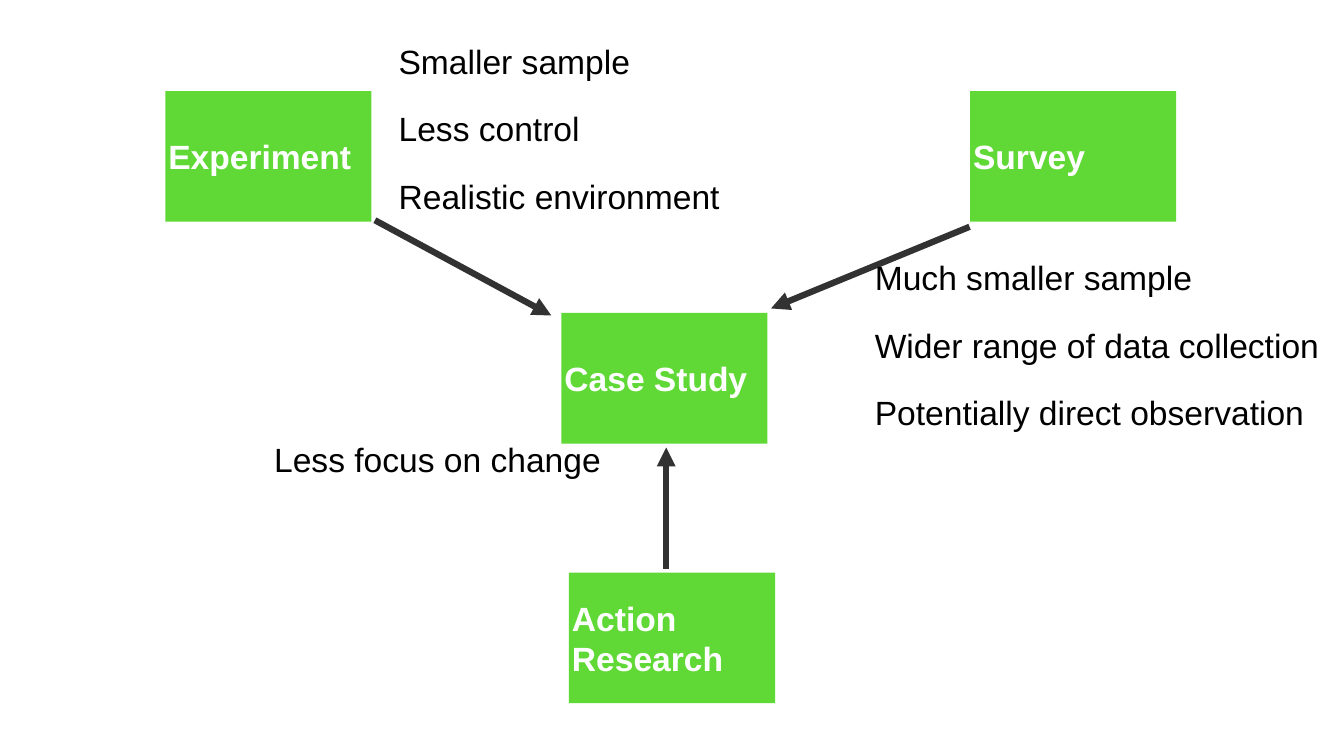
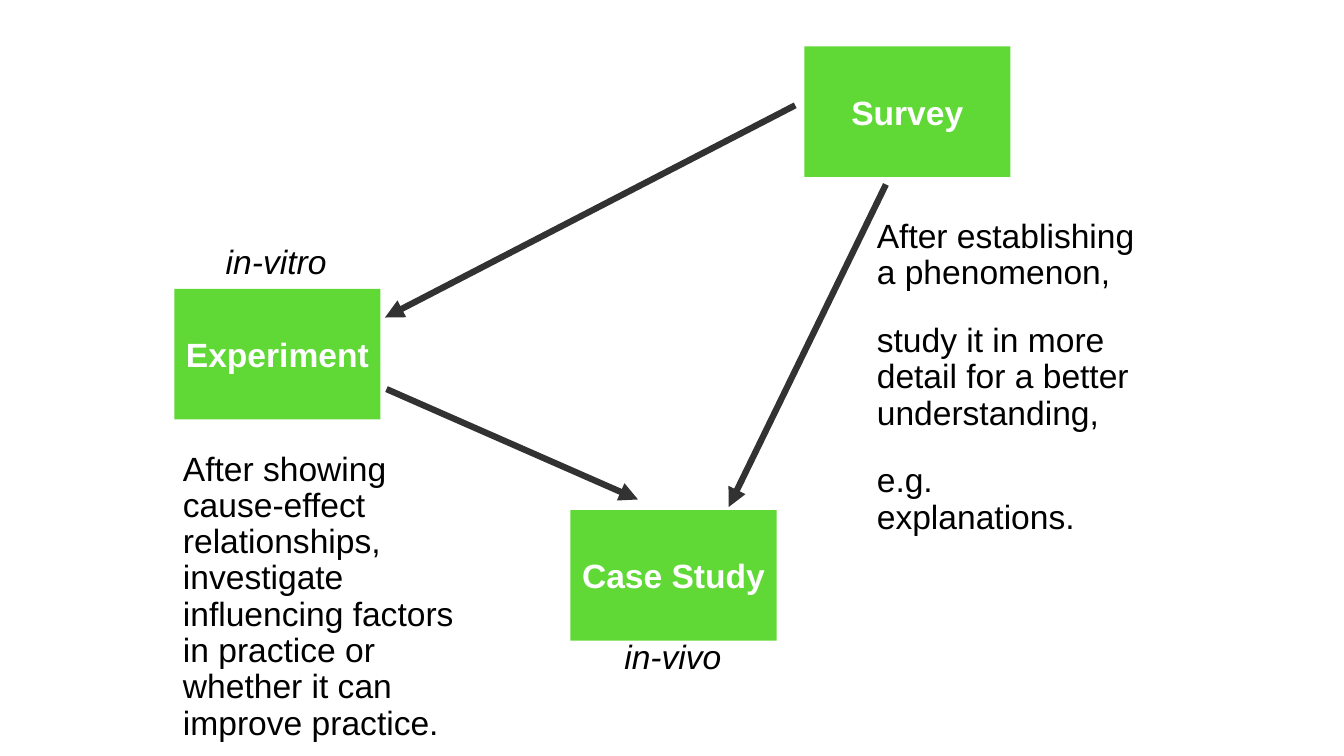
from lxml import etree
from pptx import Presentation
from pptx.dml.color import RGBColor
from pptx.enum.shapes import MSO_CONNECTOR, MSO_SHAPE
from pptx.enum.text import MSO_ANCHOR as ANCHOR, MSO_AUTO_SIZE as AUTO, PP_ALIGN as ALIGN
from pptx.oxml.ns import qn
from pptx.util import Inches, Pt

COLORS = {"box": "60D937", "box_text": "FFFFFF", "text": "000000", "arrow": "323232"}
FONT, SIZE = "Arial", 48
BOX_W, BOX_H = 4.09, 2.59
INSET = 0.06


def rgb(name):
    return RGBColor.from_string(COLORS[name])


class Diagram:
    """Draws boxes, notes and arrows on the current slide."""

    def __init__(self, prs):
        self.prs = prs
        self.slide = None

    def new_slide(self):
        self.slide = self.prs.slides.add_slide(self.prs.slide_layouts[6])

    def frame(self, sp, wrap=True):
        tf = sp.text_frame
        tf.word_wrap = wrap
        tf.vertical_anchor = ANCHOR.MIDDLE
        tf.margin_left = tf.margin_right = Inches(INSET)
        tf.margin_top = tf.margin_bottom = Inches(INSET)
        return tf

    def run(self, p, text, color, bold=False, italic=False):
        r = p.add_run()
        r.text = text
        r.font.name, r.font.size = FONT, Pt(SIZE)
        r.font.bold, r.font.italic = bold, italic
        r.font.color.rgb = rgb(color)

    def box(self, x, y, text, align=ALIGN.LEFT):
        sp = self.slide.shapes.add_shape(
            MSO_SHAPE.RECTANGLE, Inches(x), Inches(y), Inches(BOX_W), Inches(BOX_H))
        sp.shadow.inherit = False
        sp.fill.solid()
        sp.fill.fore_color.rgb = rgb("box")
        sp.line.fill.background()
        p = self.frame(sp).paragraphs[0]
        p.alignment = align
        self.run(p, text, "box_text", bold=True)

    def note(self, x, y, w, h, lines, wrap=False, italic=False):
        sp = self.slide.shapes.add_textbox(Inches(x), Inches(y), Inches(w), Inches(h))
        tf = self.frame(sp, wrap)
        tf.auto_size = AUTO.SHAPE_TO_FIT_TEXT
        for i, line in enumerate(lines):
            p = tf.add_paragraph() if i else tf.paragraphs[0]
            p.line_spacing = 0.9
            p.space_before = Pt(45)
            self.run(p, line, "text", italic=italic)

    def arrow(self, x1, y1, x2, y2):
        cn = self.slide.shapes.add_connector(
            MSO_CONNECTOR.STRAIGHT, Inches(x1), Inches(y1), Inches(x2), Inches(y2))
        cn.line.color.rgb = rgb("arrow")
        cn.line.width = Pt(9)
        etree.SubElement(cn.line._get_or_add_ln(), qn("a:tailEnd"), type="triangle")
        etree.SubElement(cn._element.spPr, qn("a:effectLst"))


def transitions_to_case_study(d):
    d.new_slide()
    # Research methods
    d.box(3.28, 1.81, "Experiment")
    d.box(11.14, 6.21, "Case Study")
    d.box(19.25, 1.81, "Survey")
    d.box(11.29, 11.36, "Action Research")
    # Experiment to case study
    d.arrow(7.44, 4.37, 10.94, 6.26)
    d.note(7.85, 0.82, 6.51, 3.56,
           ["Smaller sample", "Less control", "Realistic environment"])
    # Survey to case study
    d.arrow(19.24, 4.5, 15.3, 6.12)
    d.note(17.3, 5.11, 9.06, 3.56,
           ["Much smaller sample", "Wider range of data collection",
            "Potentially direct observation"])
    # Action research to case study
    d.arrow(13.22, 11.28, 13.22, 8.88)
    d.note(5.38, 8.71, 6.67, 0.88, ["Less focus on change"])


def order_of_methods(d):
    d.new_slide()
    # Research methods
    d.box(3.46, 5.73, "Experiment", ALIGN.CENTER)
    d.box(11.32, 10.12, "Case Study", ALIGN.CENTER)
    d.box(15.96, 0.92, "Survey", ALIGN.CENTER)
    # Experiment to case study
    d.arrow(7.67, 7.72, 12.66, 9.91)
    d.note(3.57, 8.24, 5.81, 7.22,
           ["After showing cause-effect relationships, investigate influencing "
            "factors in practice or whether it can improve practice."], wrap=True)
    # Survey to case study and to experiment
    d.arrow(17.58, 3.66, 14.46, 10.06)
    d.note(17.34, 4.29, 5.3, 6.42,
           ["After establishing a phenomenon,",
            "study it in more detail for a better understanding,",
            "e.g. explanations."], wrap=True)
    d.arrow(15.78, 2.09, 7.64, 6.3)
    # Settings
    d.note(4.42, 4.79, 2.17, 0.88, ["in-vitro"], italic=True)
    d.note(12.33, 12.62, 2.08, 0.88, ["in-vivo"], italic=True)


def main():
    prs = Presentation()
    prs.slide_width, prs.slide_height = Inches(26.67), Inches(15)
    d = Diagram(prs)
    transitions_to_case_study(d)
    order_of_methods(d)
    prs.save("out.pptx")


if __name__ == "__main__":
    main()
